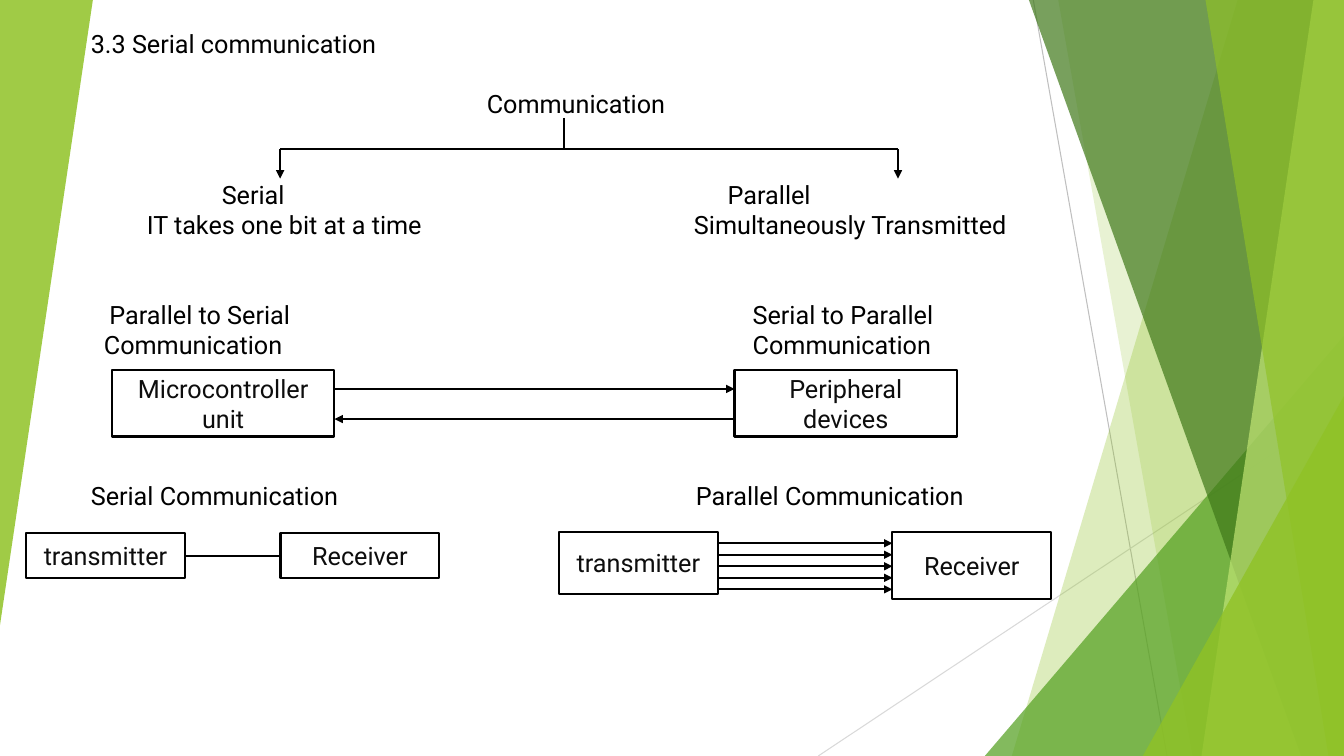
from dataclasses import dataclass

from lxml.etree import SubElement
from pptx import Presentation
from pptx.dml.color import RGBColor
from pptx.enum.shapes import MSO_CONNECTOR as Connector, MSO_SHAPE as Preset
from pptx.enum.text import MSO_ANCHOR as Anchor, PP_ALIGN as Align
from pptx.oxml.ns import qn
from pptx.util import Cm, Pt


@dataclass(frozen=True)
class Theme:
    font: str = "Roboto"
    size: float = 18
    line_width: float = 1.5
    thin_width: float = 0.75
    black: str = "000000"
    box_text: str = "0D0D0D"
    white: str = "FFFFFF"
    grey: str = "BFBFBF"
    light_grey: str = "D9D9D9"
    green: str = "90C226"
    mid_green: str = "54A021"
    dark_green: str = "3F7819"
    pale_green: str = "C0E474"


@dataclass(frozen=True)
class Shard:
    """A band from a slanted left edge to the right edge of the slide."""
    top_x: float
    bottom_x: float
    color: str
    opacity: int


@dataclass(frozen=True)
class Wedge:
    """A right triangle standing in a corner of the slide."""
    left: float
    top: float
    width: float
    height: float
    color: str
    opacity: int
    rotation: int = 0


@dataclass(frozen=True)
class Label:
    text: str
    left: float
    row: int


@dataclass(frozen=True)
class Box:
    text: str
    left: float
    top: float
    width: float
    height: float


@dataclass(frozen=True)
class Line:
    x1: float
    y1: float
    x2: float
    y2: float
    arrow: bool = False
    color: str = Theme.black
    width: float = Theme.line_width


THEME = Theme()
PAGE_WIDTH, PAGE_HEIGHT = 33.87, 19.05
FIRST_ROW, ROW_HEIGHT = 0.71, 0.76  # text grid
BRANCH_Y, SERIAL_X, PARALLEL_X = 3.76, 7.06, 22.63

BACKGROUND_LINES = [
    Line(26.04, 0, 29.41, PAGE_HEIGHT, color=THEME.grey, width=THEME.thin_width),
    Line(PAGE_WIDTH, 10.24, 20.62, PAGE_HEIGHT, color=THEME.light_grey, width=THEME.thin_width),
]
FACETS = [
    Shard(31.19, 25.5, THEME.green, 30),
    Shard(26.67, 30.05, THEME.green, 20),
    Wedge(24.82, 8.46, 9.05, 10.59, THEME.mid_green, 72),
    Shard(25.93, 32.79, THEME.dark_green, 70),
    Shard(33.1, 30.28, THEME.pale_green, 70),
    Shard(30.38, 33.48, THEME.green, 65),
    Wedge(28.8, 9.98, 5.07, 9.07, THEME.green, 80),
    Wedge(0, 0, 2.34, 15.75, THEME.green, 85, rotation=180),
]
LABELS = [
    Label("3.3 Serial communication", 2.29, 0),
    Label("Communication", 12.27, 2),
    Label("Serial", 5.59, 5),
    Label("Parallel", 18.34, 5),
    Label("IT takes one bit at a time", 3.7, 6),
    Label("Simultaneously Transmitted", 17.49, 6),
    Label("Parallel to Serial", 2.76, 9),
    Label("Communication", 2.62, 10),
    Label("Serial to Parallel", 18.97, 9),
    Label("Communication", 18.97, 10),
    Label("Serial Communication", 2.29, 15),
    Label("Parallel Communication", 17.54, 15),
]
BOXES = [
    Box("Microcontroller unit", 2.82, 9.32, 5.61, 1.68),
    Box("Peripheral devices", 18.51, 9.32, 5.61, 1.68),
    Box("transmitter", 0.66, 13.43, 4, 1.14),
    Box("Receiver", 7.07, 13.43, 4, 1.14),
    Box("transmitter", 14.09, 13.41, 4, 1.55),
    Box("Receiver", 22.49, 13.41, 4, 1.68),
]
LINES = [
    # Tree from communication to its two kinds
    Line(14.22, 2.97, 14.22, BRANCH_Y),
    Line(SERIAL_X, BRANCH_Y, PARALLEL_X, BRANCH_Y),
    *[Line(x, BRANCH_Y, x, 4.5, arrow=True) for x in (SERIAL_X, PARALLEL_X)],
    # Microcontroller and peripherals
    Line(8.43, 9.8, 18.51, 9.8, arrow=True),
    Line(18.51, 10.56, 8.43, 10.56, arrow=True),
    # One serial wire, five parallel wires
    Line(4.66, 14, 7.07, 14),
    *[Line(18.09, y, 22.49, y, arrow=True) for y in (13.69 + 0.29 * i for i in range(5))],
]


def write_text(frame, text: str, *, color: str = THEME.black, align=Align.LEFT,
               anchor=Anchor.TOP, wrap: bool = False, side: float = 0) -> None:
    frame.word_wrap = wrap
    frame.vertical_anchor = anchor
    frame.margin_left = frame.margin_right = Cm(side)
    frame.margin_top = frame.margin_bottom = 0
    para = frame.paragraphs[0]
    para.alignment = align
    span = para.add_run()
    span.text = text
    span.font.name, span.font.size = THEME.font, Pt(THEME.size)
    span.font.color.rgb = RGBColor.from_string(color)


def paint(shape, color: str, opacity: int = 100) -> None:
    shape.shadow.inherit = False
    shape.fill.solid()
    shape.fill.fore_color.rgb = RGBColor.from_string(color)
    shape.line.fill.background()
    if opacity < 100:
        tint = shape.fill._xPr.find(qn("a:solidFill"))[0]
        SubElement(tint, qn("a:alpha")).set("val", str(opacity * 1000))


def draw_facet(page, facet: Shard | Wedge) -> None:
    if isinstance(facet, Shard):
        outline = page.shapes.build_freeform(Cm(facet.top_x), 0)
        outline.add_line_segments([
            (Cm(PAGE_WIDTH), 0),
            (Cm(PAGE_WIDTH), Cm(PAGE_HEIGHT)),
            (Cm(facet.bottom_x), Cm(PAGE_HEIGHT)),
        ], close=True)
        shape = outline.convert_to_shape()
    else:
        shape = page.shapes.add_shape(Preset.ISOSCELES_TRIANGLE, Cm(facet.left), Cm(facet.top),
                                      Cm(facet.width), Cm(facet.height))
        shape.adjustments[0] = 1
        shape.rotation = facet.rotation
    paint(shape, facet.color, facet.opacity)


def draw_line(page, line: Line) -> None:
    wire = page.shapes.add_connector(Connector.STRAIGHT, Cm(line.x1), Cm(line.y1),
                                     Cm(line.x2), Cm(line.y2))
    wire.line.width = Pt(line.width)
    wire.line.color.rgb = RGBColor.from_string(line.color)
    if line.arrow:
        SubElement(wire.line._get_or_add_ln(), qn("a:tailEnd")).set("type", "triangle")
    SubElement(wire._element.spPr, qn("a:effectLst"))


def draw_label(page, label: Label) -> None:
    top = FIRST_ROW + ROW_HEIGHT * label.row
    box = page.shapes.add_textbox(Cm(label.left), Cm(top), Cm(8), Cm(ROW_HEIGHT))
    write_text(box.text_frame, label.text)


def draw_box(page, box: Box) -> None:
    shape = page.shapes.add_shape(Preset.RECTANGLE, Cm(box.left), Cm(box.top),
                                  Cm(box.width), Cm(box.height))
    paint(shape, THEME.white)
    shape.line.color.rgb = RGBColor.from_string(THEME.black)
    shape.line.width = Pt(THEME.line_width)
    write_text(shape.text_frame, box.text, color=THEME.box_text, align=Align.CENTER,
               anchor=Anchor.MIDDLE, wrap=True, side=0.3)


def main() -> None:
    deck = Presentation()
    deck.slide_width, deck.slide_height = Cm(PAGE_WIDTH), Cm(PAGE_HEIGHT)
    page = deck.slides.add_slide(deck.slide_layouts[6])
    for draw, parts in ((draw_line, BACKGROUND_LINES), (draw_facet, FACETS),
                        (draw_label, LABELS), (draw_box, BOXES), (draw_line, LINES)):
        for part in parts:
            draw(page, part)
    deck.save("out.pptx")


if __name__ == "__main__":
    main()
